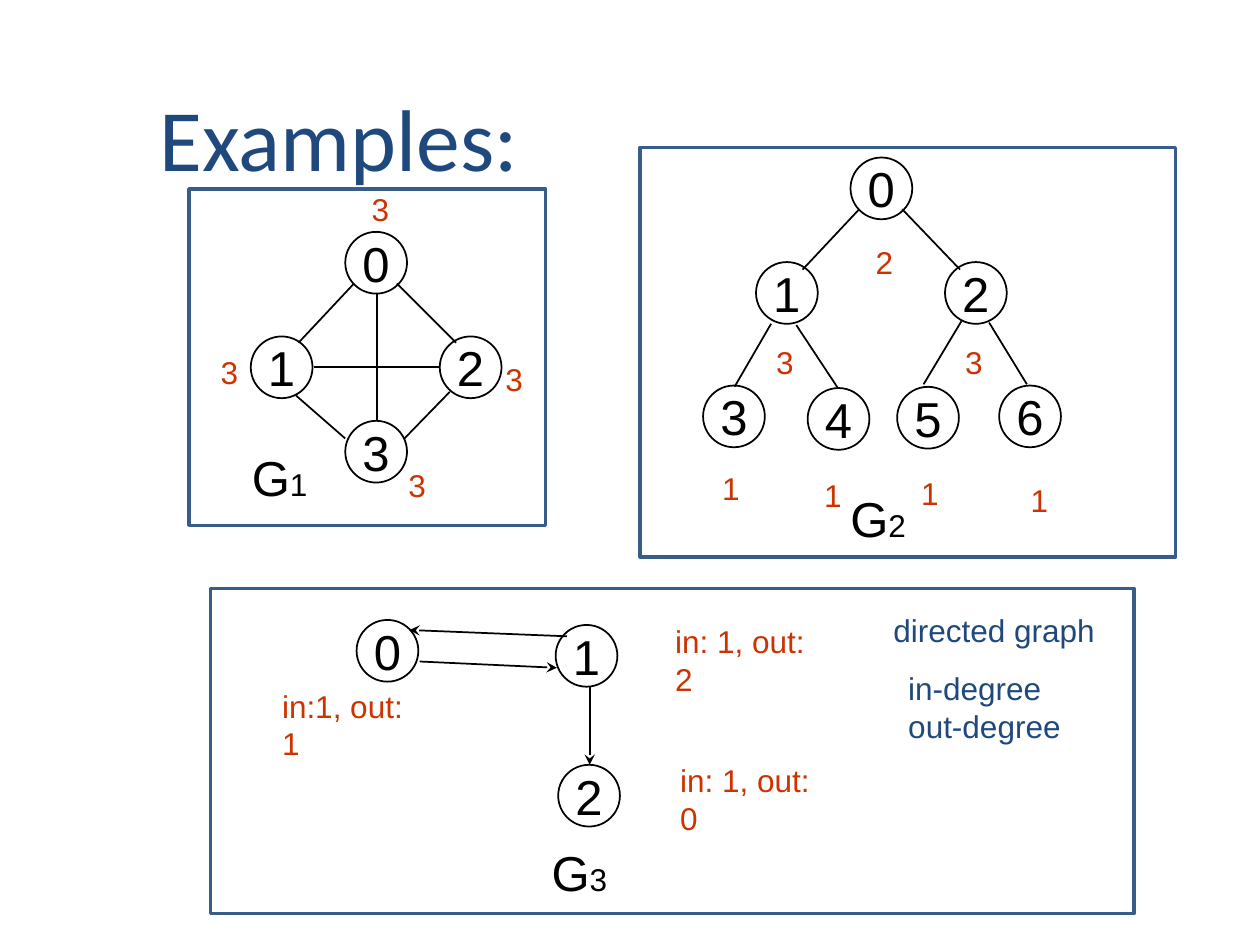
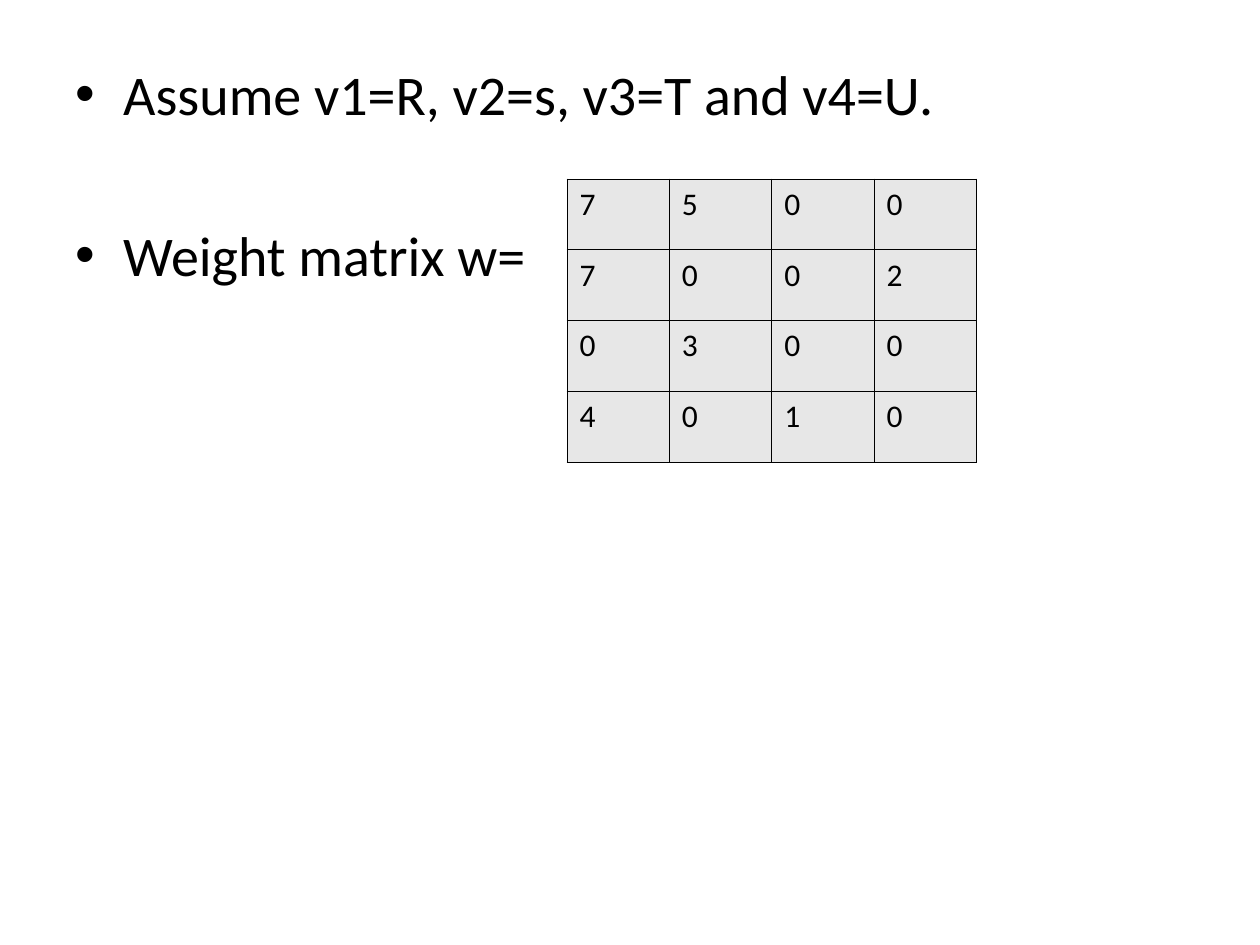
from dataclasses import dataclass

from lxml.etree import SubElement
from pptx import Presentation
from pptx.dml.color import RGBColor
from pptx.enum.shapes import MSO_CONNECTOR, MSO_SHAPE
from pptx.enum.text import MSO_ANCHOR, MSO_AUTO_SIZE, PP_ALIGN
from pptx.oxml.ns import qn
from pptx.util import Inches, Pt

COLORS = {
    "ink": "000000",
    "paper": "FFFFFF",
    "heading": "1F497D",
    "frame": "385D8A",
    "degree": "CC3300",
    "cell": "E7E7E7",
}
HEADING_FONT, GRAPH_FONT = "Calibri", "Arial"
NODE_SIZE = 0.49
DEGREE_SIZE = (0.34, 0.4)


def color(name):
    return RGBColor.from_string(COLORS[name])


def set_font(target, name, size, ink):
    target.font.name = name
    target.font.size = Pt(size)
    target.font.color.rgb = color(ink)


def set_outline(shape, ink, width):
    shape.line.color.rgb = color(ink)
    shape.line.width = Pt(width)


def add_text(page, box, lines, font, size, ink, align=PP_ALIGN.LEFT, wrap=False):
    """Add a vertically centred text box and return its text frame."""
    frame = page.shapes.add_textbox(*map(Inches, box)).text_frame
    frame.word_wrap = wrap
    frame.auto_size = MSO_AUTO_SIZE.NONE if wrap else MSO_AUTO_SIZE.SHAPE_TO_FIT_TEXT
    frame.vertical_anchor = MSO_ANCHOR.MIDDLE
    frame.text = "\n".join(lines)
    for para in frame.paragraphs:
        para.alignment = align
        set_font(para, font, size, ink)
    return frame


@dataclass
class GraphPanel:
    """A framed area whose parts are placed from its top left corner."""
    page: object
    left: float
    top: float
    width: float
    height: float

    def at(self, x, y):
        return self.left + x, self.top + y

    def add_node(self, name, x, y):
        node = self.page.shapes.add_shape(
            MSO_SHAPE.OVAL, *map(Inches, (*self.at(x, y), NODE_SIZE, NODE_SIZE)))
        node.shadow.inherit = False
        node.fill.solid()
        node.fill.fore_color.rgb = color("paper")
        set_outline(node, "ink", 1)
        frame = node.text_frame
        frame.word_wrap = False
        frame.vertical_anchor = MSO_ANCHOR.MIDDLE
        para = frame.paragraphs[0]
        para.text = name
        para.alignment = PP_ALIGN.CENTER
        set_font(para, GRAPH_FONT, 28, "ink")

    def add_edge(self, start, end, directed):
        edge = self.page.shapes.add_connector(
            MSO_CONNECTOR.STRAIGHT, *map(Inches, (*self.at(*start), *self.at(*end))))
        set_outline(edge, "ink", 1)
        if directed:
            SubElement(edge.line._get_or_add_ln(), qn("a:tailEnd"), type="stealth")
        SubElement(edge._element.spPr, qn("a:effectLst"))

    def add_note(self, x, y, width, height, *lines, ink="degree", align=PP_ALIGN.LEFT):
        add_text(self.page, (*self.at(x, y), width, height), lines,
                 GRAPH_FONT, 18, ink, align)

    def add_degrees(self, degrees):
        for degree, x, y in degrees:
            self.add_note(x, y, *DEGREE_SIZE, degree, align=PP_ALIGN.CENTER)

    def add_name(self, number, x, y):
        frame = add_text(self.page, (*self.at(x, y), 0.64, 0.57), ["G"],
                         GRAPH_FONT, 28, "ink")
        frame.vertical_anchor = MSO_ANCHOR.TOP
        span = frame.paragraphs[0].add_run()
        span.text = number
        span.font.size = Pt(18)

    def add_graph(self, nodes, edges, directed=False):
        """Draw nodes numbered from 0, then the edges between given points."""
        for number, place in enumerate(nodes):
            self.add_node(str(number), *place)
        for start, end in edges:
            self.add_edge(start, end, directed)

    def add_frame(self):
        frame = self.page.shapes.add_shape(
            MSO_SHAPE.RECTANGLE,
            *map(Inches, (self.left, self.top, self.width, self.height)))
        frame.shadow.inherit = False
        frame.fill.background()
        set_outline(frame, "frame", 2)


def draw_complete_graph(panel):
    panel.add_graph(
        [(1.24, 0.34), (0.49, 1.17), (1.99, 1.17), (1.24, 1.84)],
        [((1.49, 0.83), (1.49, 1.83)), ((0.99, 1.41), (1.99, 1.41)),
         ((1.31, 0.75), (0.87, 1.22)), ((1.65, 0.75), (2.12, 1.22)),
         ((0.85, 1.64), (1.24, 1.98)), ((2.07, 1.61), (1.71, 1.98))])
    panel.add_degrees([("3", 1.35, -0.04), ("3", 0.15, 1.25),
                       ("3", 2.41, 1.31), ("3", 1.64, 2.15)])
    panel.add_name("1", 0.4, 2)
    panel.add_frame()


def draw_tree(panel):
    panel.add_graph(
        [(1.67, 0.08), (0.92, 0.91), (2.42, 0.91),
         (0.5, 1.89), (1.33, 1.91), (2.04, 1.9), (2.85, 1.89)],
        [((1.74, 0.49), (1.29, 0.97)), ((2.08, 0.49), (2.54, 0.97)),
         ((1.04, 1.4), (0.75, 1.9)), ((1.24, 1.41), (1.57, 1.91)),
         ((2.55, 1.38), (2.25, 1.88)), ((2.77, 1.39), (3.07, 1.88))])
    panel.add_degrees([("2", 1.77, 0.71), ("3", 0.98, 1.5), ("3", 2.48, 1.5),
                       ("1", 0.55, 2.5), ("1", 1.36, 2.56),
                       ("1", 2.13, 2.54), ("1", 3, 2.6)])
    panel.add_name("2", 1.57, 2.66)
    panel.add_frame()


def draw_directed_graph(panel):
    panel.add_graph(
        [(1.16, 0.25), (2.74, 0.29), (2.76, 1.4)],
        [((3.01, 0.78), (3.01, 1.4)), ((2.83, 0.38), (1.58, 0.33)),
         ((1.66, 0.58), (2.75, 0.63))],
        directed=True)
    panel.add_note(0.47, 0.88, 1.36, 0.4, "in:1, out: 1")
    panel.add_note(3.59, 0.37, 1.43, 0.4, "in: 1, out: 2")
    panel.add_note(3.63, 1.47, 1.43, 0.4, "in: 1, out: 0")
    panel.add_note(5.32, 0.13, 1.8, 0.4, "directed graph",
                   ink="heading", align=PP_ALIGN.CENTER)
    panel.add_note(5.44, 0.59, 1.41, 0.7, "in-degree", "out-degree", ink="heading")
    panel.add_name("3", 2.61, 1.97)
    panel.add_frame()


def add_bullets(page, box, lines, gap):
    frame = add_text(page, box, lines, HEADING_FONT, 32, "ink", wrap=True)
    frame.vertical_anchor = MSO_ANCHOR.TOP
    for index, para in enumerate(frame.paragraphs):
        properties = para._p.get_or_add_pPr()
        properties.set("marL", str(Inches(0.38)))
        properties.set("indent", str(Inches(-0.38)))
        bullet_font = properties.makeelement(qn("a:buFont"), {"typeface": "Arial"})
        bullet = properties.makeelement(qn("a:buChar"), {"char": "•"})
        properties.insert(0, bullet_font)
        properties.insert(1, bullet)
        if index:
            para.space_before = Pt(gap)


def set_borders(cell, ink, width):
    properties = cell._tc.get_or_add_tcPr()
    for index, side in enumerate(("a:lnL", "a:lnR", "a:lnT", "a:lnB")):
        border = properties.makeelement(qn(side), {"w": str(Pt(width))})
        fill = SubElement(border, qn("a:solidFill"))
        SubElement(fill, qn("a:srgbClr"), val=COLORS[ink])
        properties.insert(index, border)


def add_matrix(page, box, values):
    table = page.shapes.add_table(
        len(values), len(values[0]), *map(Inches, box)).table
    table.first_row = table.horz_banding = False
    for row, numbers in enumerate(values):
        for column, number in enumerate(numbers):
            cell = table.cell(row, column)
            cell.text = str(number)
            set_font(cell.text_frame.paragraphs[0], HEADING_FONT, 18, "ink")
            cell.fill.solid()
            cell.fill.fore_color.rgb = color("cell")
            set_borders(cell, "ink", 0.45)


def build_examples(page):
    add_text(page, (1.17, 0.5, 8.08, 1.17), ["Examples:"],
             HEADING_FONT, 50, "heading", wrap=True)
    draw_tree(GraphPanel(page, 5.08, 1.17, 4.25, 3.25))
    draw_directed_graph(GraphPanel(page, 1.67, 4.67, 7.33, 2.58))
    draw_complete_graph(GraphPanel(page, 1.5, 1.5, 2.83, 2.67))


def build_weight_matrix(page):
    add_bullets(page, (0.5, 0.42, 9, 6.28),
                ["Assume v1=R, v2=s, v3=T and v4=U.", "Weight matrix w="], gap=54)
    add_matrix(page, (4.5, 1.42, 3.25, 2.25),
               [[7, 5, 0, 0], [7, 0, 0, 2], [0, 3, 0, 0], [4, 0, 1, 0]])


def main():
    deck = Presentation()
    deck.slide_width, deck.slide_height = Inches(10), Inches(7.5)
    for build in (build_examples, build_weight_matrix):
        build(deck.slides.add_slide(deck.slide_layouts[6]))
    deck.save("out.pptx")


if __name__ == "__main__":
    main()
